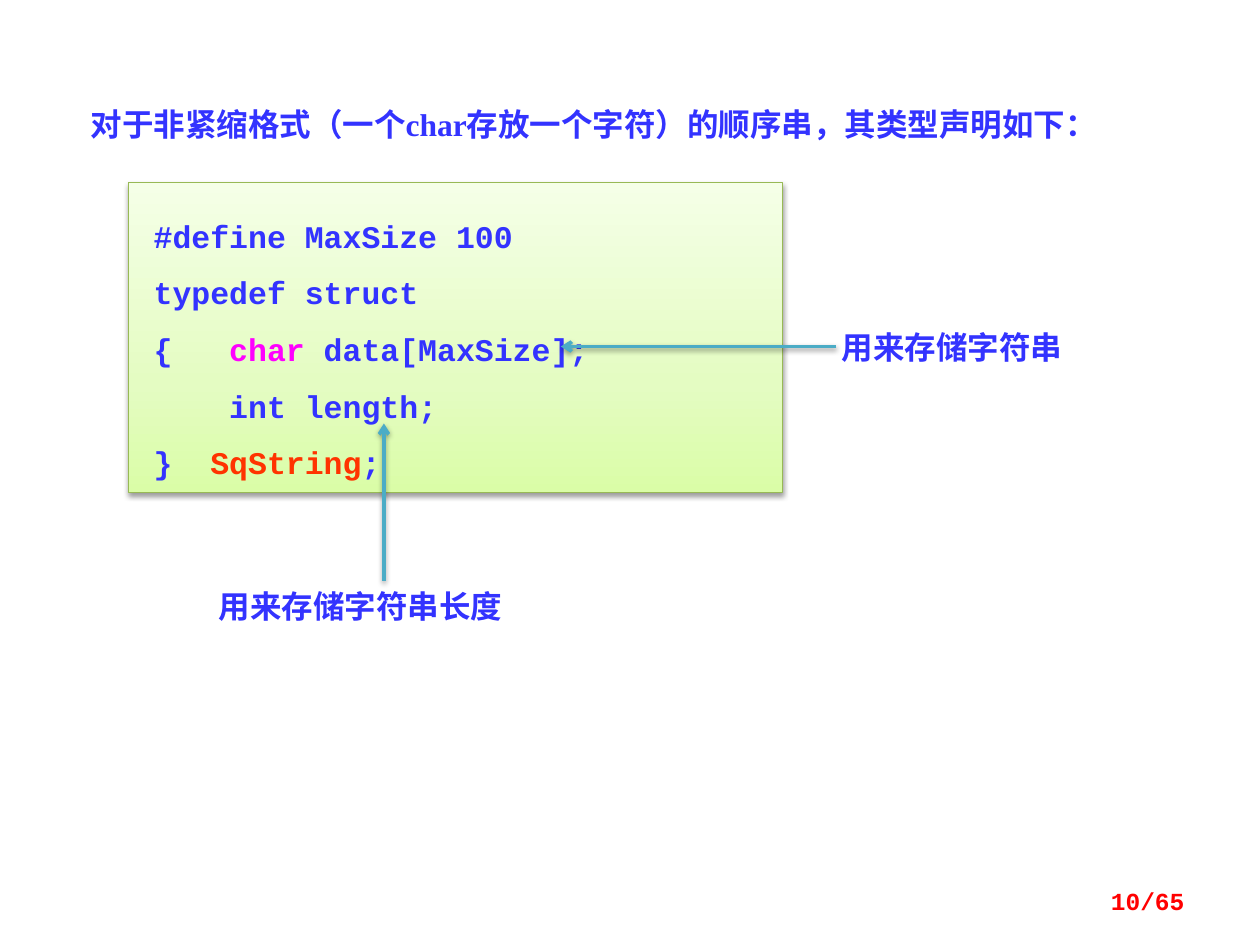
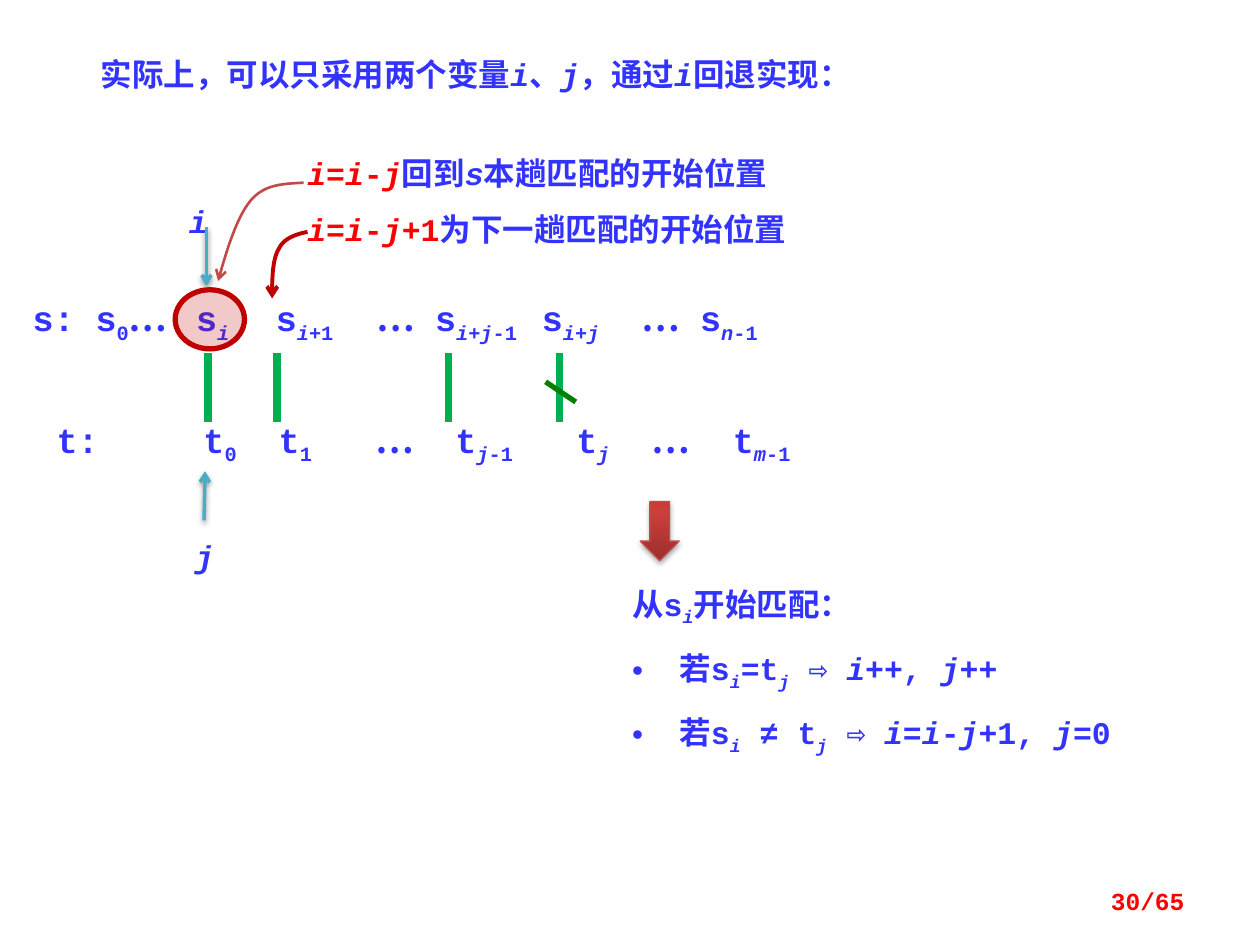
from itertools import groupby

from pptx import Presentation
from pptx.dml.color import RGBColor
from pptx.enum.shapes import MSO_CONNECTOR, MSO_SHAPE
from pptx.enum.text import MSO_ANCHOR, MSO_AUTO_SIZE, PP_ALIGN
from pptx.oxml import parse_xml
from pptx.oxml.ns import nsdecls, qn
from pptx.util import Pt

COLORS = {
    "text": "3333FF", "red": "FF0000", "type": "FF00FF", "name": "FF3300",
    "white": "FFFFFF", "arrow": "4BACC6", "match": "00B050", "strike": "008000",
    "dark_red": "C00000", "brick": "BF4C48", "code_line": "98B955",
}
CODE_GRADIENT = [(0, "DAFDA7"), (35, "E4FCC2"), (100, "F5FFE7")]
ARROW_GRADIENT = [(0, "9C2F2D"), (80, "CB3E3A"), (100, "CE3B37")]
MONO, SERIF, CJK = "Courier New", "Times New Roman", "Noto Sans CJK SC"
PAGE_COUNT = 65


def rgb(name):
    return RGBColor.from_string(COLORS[name])


def xml(tag, attrs="", inner=""):
    return parse_xml(f"<a:{tag} {nsdecls('a')} {attrs}>{inner}</a:{tag}>")


def expr(text, color="text", flags=""):
    return [("".join(chars), flags + ("i" if is_var else ""), color)
            for is_var, chars in groupby(text, str.isalpha)]


def term(name, index):
    return [name, *expr(index, flags="_")]


def bezier(start, c1, c2, end, steps=12):
    for k in range(1, steps + 1):
        t = k / steps
        u = 1 - t
        weights = (u ** 3, 3 * u * u * t, 3 * u * t * t, t ** 3)
        yield tuple(sum(w * p[axis] for w, p in zip(weights, (start, c1, c2, end)))
                    for axis in (0, 1))


class Deck:
    def __init__(self):
        self.prs = Presentation()
        self.prs.slide_width, self.prs.slide_height = Pt(720), Pt(540)
        self.slide = None

    def new_slide(self, number, title, x, y, w, font=MONO):
        self.slide = self.prs.slides.add_slide(self.prs.slide_layouts[5])
        s = self.slide.shapes.title
        s.left, s.top, s.width, s.height = Pt(x), Pt(y), Pt(w), Pt(29)
        self.fill_text(s, [title], font=font)
        self.text(516, 500, 168, 29, [[(f"{number}/{PAGE_COUNT}", "", "red")]],
                  size=14, align=PP_ALIGN.RIGHT, anchor=MSO_ANCHOR.MIDDLE)

    def fill_text(self, s, paragraphs, size=18, font=MONO, align=PP_ALIGN.LEFT,
                  anchor=MSO_ANCHOR.TOP, spacing=None, tabs=(), bullets_from=None):
        tf = s.text_frame
        tf.word_wrap = True
        tf.vertical_anchor = anchor
        tf.auto_size = (MSO_AUTO_SIZE.SHAPE_TO_FIT_TEXT if anchor == MSO_ANCHOR.TOP
                        else MSO_AUTO_SIZE.NONE)
        for n, runs in enumerate(paragraphs):
            p = tf.paragraphs[0] if n == 0 else tf.add_paragraph()
            pPr = p._p.get_or_add_pPr()
            if bullets_from is not None and n >= bullets_from:
                pPr.set("marL", str(Pt(27)))
                pPr.set("indent", str(-Pt(27)))
                pPr.append(xml("buFont", 'typeface="Arial"'))
                pPr.append(xml("buChar", 'char="•"'))
            if tabs:
                stops = "".join(f'<a:tab pos="{Pt(t)}" algn="l"/>' for t in tabs)
                pPr.append(xml("tabLst", inner=stops))
            p.alignment = align
            if spacing:
                p.line_spacing = spacing
            for run in runs:
                self.run(p, run, size, font)

    def run(self, p, run, size, font):
        text, flags, color = (run, "", "text") if isinstance(run, str) else run
        r = p.add_run()
        r.text = text
        r.font.size = Pt(24 if "b" in flags else size)
        r.font.bold = True
        r.font.italic = "i" in flags
        r.font.name = CJK if "c" in flags else font
        r.font.color.rgb = rgb(color)
        rPr = r._r.get_or_add_rPr()
        rPr.find(qn("a:latin")).addnext(xml("ea", f'typeface="{CJK}"'))
        if "_" in flags:
            rPr.set("baseline", "-25000")

    def text(self, x, y, w, h, paragraphs, fill=None, **style):
        s = self.slide.shapes.add_textbox(Pt(x), Pt(y), Pt(w), Pt(h))
        if fill:
            s.fill.solid()
            s.fill.fore_color.rgb = rgb(fill)
        self.fill_text(s, paragraphs, **style)

    def effects(self, s, alpha=None, dist=1.6):
        spPr = s._element.spPr
        for old in spPr.findall(qn("a:effectLst")):
            spPr.remove(old)
        shadow = "" if alpha is None else (
            f'<a:outerShdw blurRad="{Pt(3.1)}" dist="{Pt(dist)}" dir="5400000" rotWithShape="0">'
            f'<a:srgbClr val="000000"><a:alpha val="{alpha * 1000}"/></a:srgbClr></a:outerShdw>')
        spPr.append(xml("effectLst", inner=shadow))

    def outline(self, s, color, width, arrow=False):
        s.line.color.rgb = rgb(color)
        s.line.width = Pt(width)
        if arrow:
            s.line._get_or_add_ln().append(xml("tailEnd", 'type="arrow"'))

    def shape(self, kind, x, y, w, h, line, width):
        s = self.slide.shapes.add_shape(kind, Pt(x), Pt(y), Pt(w), Pt(h))
        self.outline(s, line, width)
        self.effects(s)
        return s

    def gradient(self, s, stops):
        s.fill.gradient()
        s.fill.gradient_angle = 90
        gs_list = s._element.spPr.find(".//" + qn("a:gsLst"))
        for old in list(gs_list):
            gs_list.remove(old)
        for pos, color in stops:
            gs_list.append(xml("gs", f'pos="{pos * 1000}"', f'<a:srgbClr val="{color}"/>'))

    def line(self, x1, y1, x2, y2, color, width):
        s = self.slide.shapes.add_connector(
            MSO_CONNECTOR.STRAIGHT, Pt(x1), Pt(y1), Pt(x2), Pt(y2))
        self.outline(s, color, width)
        self.effects(s)
        return s

    def arrow(self, x1, y1, x2, y2):
        s = self.line(x1, y1, x2, y2, "arrow", 2)
        self.outline(s, "arrow", 2, arrow=True)
        self.effects(s, 38)

    def curve(self, start, segments, color, width):
        points, here = [], start
        for c1, c2, end in segments:
            points += bezier(here, c1, c2, end)
            here = end
        builder = self.slide.shapes.build_freeform(Pt(start[0]), Pt(start[1]))
        builder.add_line_segments([(Pt(x), Pt(y)) for x, y in points], close=False)
        s = builder.convert_to_shape()
        s.fill.background()
        self.outline(s, color, width, arrow=True)
        self.effects(s)


def string_type_slide(deck):
    deck.new_slide(10, ["对于非紧缩格式（一个char存放一个字符）的顺序串，其类型声明如下："],
                   44.6, 56.2, 646.6, SERIF)
    code = deck.shape(MSO_SHAPE.RECTANGLE, 73.4, 104.4, 373.7, 177.1, "code_line", 0.75)
    deck.gradient(code, CODE_GRADIENT)
    deck.effects(code, 38)
    tf = code.text_frame
    tf.margin_left = tf.margin_right = Pt(14.4)
    tf.margin_top = tf.margin_bottom = Pt(8.64)
    deck.fill_text(code, [
        ["#define MaxSize 100"],
        ["typedef struct"],
        ["{   ", ("char ", "", "type"), "data[MaxSize];"],
        ["    int length;"],
        ["}  ", ("SqString", "", "name"), ";"],
    ], spacing=1.5)
    deck.text(473.8, 183.6, 185.8, 29, [["用来存储字符串"]], font=CJK)
    deck.text(118, 332, 253.4, 29, [["用来存储字符串长度"]], font=CJK)
    deck.arrow(219.4, 332, 219.4, 242)
    deck.arrow(478, 198, 320.5, 198)


def backtrack_slide(deck):
    deck.new_slide(30, ["实际上，可以只采用两个变量", *expr("i"), "、", *expr("j"),
                        "，通过", *expr("i"), "回退实现："], 50.4, 28.1, 590.4)
    dots = ("…", "c", "text")
    deck.text(11.5, 162, 438.5, 36, [[
        "s:\t", *term("s", "0"), dots, "\t", *term("s", "i"), ("\t", "b", "text"),
        *term("s", "i+1"), "\t", dots, "\t", *term("s", "i+j-1"), "\t",
        *term("s", "i+j"), "\t", dots, "\t", *term("s", "n-1")]],
        size=20, tabs=(36, 93.5, 139, 196.5, 230, 291, 348, 381.5))
    deck.text(25.2, 235.4, 442.8, 31.7, [[
        "t:\t", *term("t", "0"), "\t", *term("t", "1"), "\t", dots, "\t",
        *term("t", "j-1"), "\t", *term("t", "j"), "\t", dots, "\t", *term("t", "m-1")]],
        size=20, tabs=(84, 127, 182.5, 228, 297, 340, 386.5))

    deck.arrow(116.6, 297.4, 117.2, 269.3)
    deck.text(104.4, 303.1, 28, 29, [expr("j")])
    deck.arrow(118, 129.6, 118, 163.4)
    deck.text(100.8, 111.6, 28, 29, [expr("i")])

    for x in (118.8, 158.4, 256.3, 319.7):
        deck.line(x, 201.6, x, 241.2, "match", 4.5)
    deck.line(311.8, 218.2, 329, 229.7, "strike", 3)

    deck.text(168.5, 84.2, 286.6, 29, [
        [*expr("i=i-j", "red"), "回到", *expr("s"), "本趟匹配的开始位置"]])
    deck.curve((173.5, 104.4), [((162, 105.1), (151.2, 105.1), (143.3, 114.5)),
                                ((135.4, 123.8), (129.6, 142.6), (124.6, 160.6))],
               "brick", 1.5)

    ring = deck.shape(MSO_SHAPE.OVAL, 100.1, 165.6, 39.6, 33.8, "dark_red", 3)
    ring.fill.solid()
    ring.fill.fore_color.rgb = rgb("dark_red")
    ring._element.spPr.find(qn("a:solidFill"))[0].append(xml("alpha", 'val="21000"'))

    deck.text(354.2, 318.2, 343.4, 101.5, [
        ["从", *term("s", "i"), "开始匹配："],
        ["若", *term("s", "i"), "=", *term("t", "j"), " ⇨ ", *expr("i++, j++")],
        ["若", *term("s", "i"), " ≠ ", *term("t", "j"), " ⇨ ", *expr("i=i-j+1, j=0")],
    ], spacing=1.5, bullets_from=1)

    deck.text(168.5, 112.3, 303.8, 33.8, [
        [*expr("i=i-j+1", "red"), "为下一趟匹配的开始位置"]],
        fill="white", spacing=Pt(26))
    deck.curve((175.7, 132.5), [((169.2, 133.9), (162, 136.1), (159.1, 142.6)),
                                ((155.5, 149), (155.5, 159.8), (155.5, 170.6))],
               "dark_red", 2.25)

    down = deck.shape(MSO_SHAPE.DOWN_ARROW, 365.8, 286.6, 22.3, 33.8, "brick", 0.75)
    deck.gradient(down, ARROW_GRADIENT)
    deck.effects(down, 35, 1.8)


def main():
    deck = Deck()
    string_type_slide(deck)
    backtrack_slide(deck)
    deck.prs.save("out.pptx")


if __name__ == "__main__":
    main()
